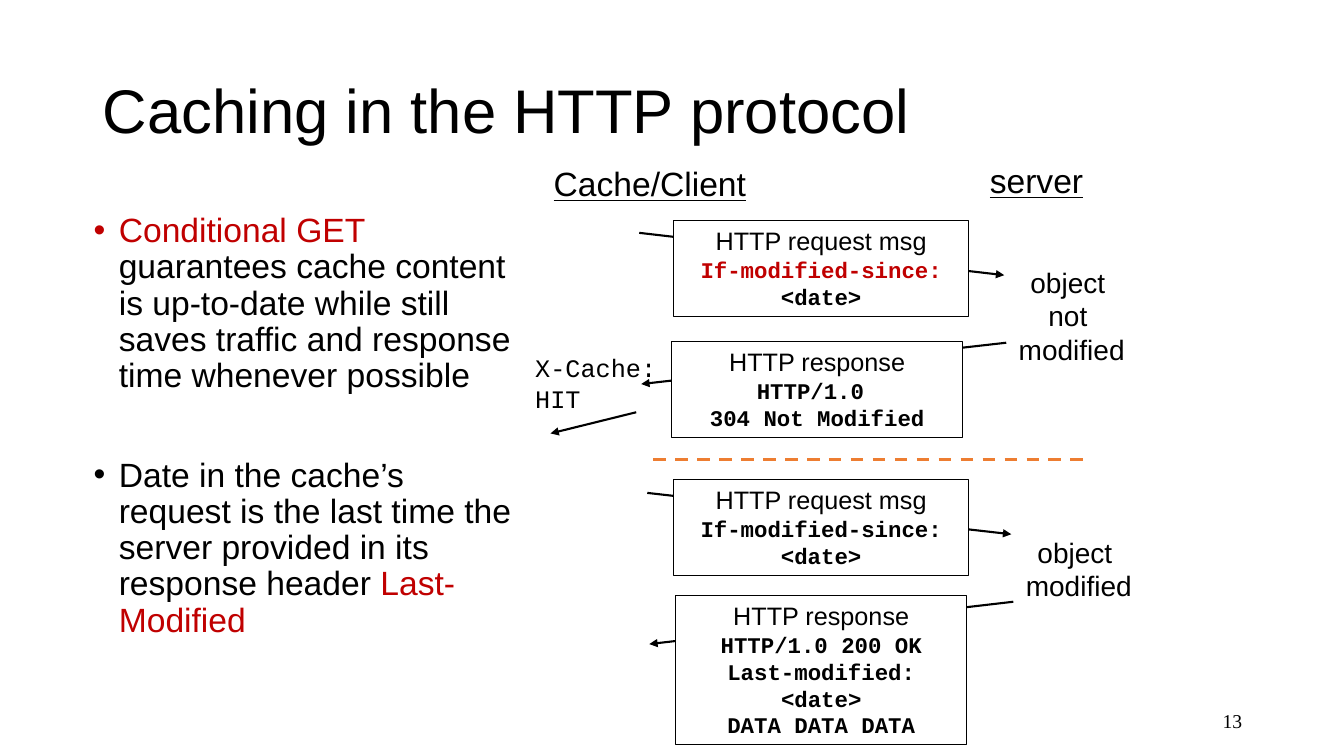
import pptx
import pptx.util
import pptx.dml.color
import pptx.enum.dml
import pptx.enum.shapes
import pptx.enum.text
import pptx.oxml
from lxml import etree

Inches = pptx.util.Inches
Pt = pptx.util.Pt
ALIGN = pptx.enum.text.PP_ALIGN
ANCHOR = pptx.enum.text.MSO_ANCHOR
COLORS = {"black": "000000", "white": "FFFFFF", "red": "C00000", "orange": "ED7D31"}
CODE = dict(size=16, font="Courier New", bold=True)


def rgb(name):
    return pptx.dml.color.RGBColor.from_string(COLORS[name])


def child(parent, tag, **attrs):
    el = etree.SubElement(parent, pptx.oxml.ns.qn(tag))
    for key, value in attrs.items():
        el.set(key, value)
    return el


def add_run(p, text, size=24, font="Arial", color="black", bold=False, underline=False):
    r = p.add_run()
    r.text = text
    r.font.size = Pt(size)
    r.font.name = font
    r.font.color.rgb = rgb(color)
    r.font.bold = bold
    r.font.underline = underline


def add_paragraphs(tf, paragraphs, align=ALIGN.CENTER, spacing=None):
    for i, runs in enumerate(paragraphs):
        p = tf.paragraphs[0] if i == 0 else tf.add_paragraph()
        p.alignment = align
        if spacing:
            p.line_spacing = spacing
        for text, fmt in runs:
            add_run(p, text, **fmt)


def add_text(s, x, y, w, h, paragraphs, align=ALIGN.CENTER, anchor=ANCHOR.TOP,
             wrap=True, spacing=None):
    sp = s.shapes.add_textbox(Inches(x), Inches(y), Inches(w), Inches(h))
    tf = sp.text_frame
    tf.word_wrap = wrap
    tf.vertical_anchor = anchor
    add_paragraphs(tf, paragraphs, align, spacing)
    return tf


def add_bullets(s, x, y, w, h, items):
    tf = add_text(s, x, y, w, h, items, ALIGN.LEFT, spacing=0.9)
    for i, (p, runs) in enumerate(zip(tf.paragraphs, items)):
        if i:
            p.space_before = Pt(45)
        pPr = p._p.get_or_add_pPr()
        pPr.set("marL", str(Inches(0.25)))
        pPr.set("indent", str(-Inches(0.25)))
        color = runs[0][1].get("color", "black")
        child(child(pPr, "a:buClr"), "a:srgbClr", val=COLORS[color])
        child(pPr, "a:buFont", typeface="Arial")
        child(pPr, "a:buChar", char="•")


def add_line(s, x1, y1, x2, y2, color="black", width=1.5, dash=None, arrow=True):
    c = s.shapes.add_connector(pptx.enum.shapes.MSO_CONNECTOR.STRAIGHT,
                               Inches(x1), Inches(y1), Inches(x2), Inches(y2))
    c.line.color.rgb = rgb(color)
    c.line.width = Pt(width)
    if dash:
        c.line.dash_style = dash
    if arrow:
        child(c.line._get_or_add_ln(), "a:tailEnd", type="triangle")
    child(c._element.spPr, "a:effectLst")


def add_message(s, x, y, w, h, title, code):
    sp = s.shapes.add_shape(pptx.enum.shapes.MSO_SHAPE.RECTANGLE,
                            Inches(x), Inches(y), Inches(w), Inches(h))
    sp.shadow.inherit = False
    sp.fill.solid()
    sp.fill.fore_color.rgb = rgb("white")
    sp.line.color.rgb = rgb("black")
    sp.line.width = Pt(0.75)
    tf = sp.text_frame
    tf.word_wrap = True
    tf.vertical_anchor = ANCHOR.TOP
    add_paragraphs(tf, [[(title, dict(size=18))]] + code)


def main():
    prs = pptx.Presentation()
    prs.slide_width = Inches(13.33)
    prs.slide_height = Inches(7.5)
    s = prs.slides.add_slide(prs.slide_layouts[6])

    add_text(s, 0.92, 0.4, 11.5, 1.45, [[("Caching in the HTTP protocol", dict(size=44))]],
             ALIGN.LEFT, ANCHOR.MIDDLE, spacing=0.9)
    add_text(s, 9.42, 6.95, 3, 0.4, [[("13", dict(size=14, font="Times New Roman"))]],
             ALIGN.RIGHT, ANCHOR.MIDDLE)
    add_bullets(s, 0.83, 2.07, 4.42, 4.71, [
        [("Conditional GET ", dict(color="red")),
         ("guarantees cache content is up-to-date while still saves traffic "
          "and response time whenever possible", {})],
        [("Date in the cache’s request is the last time the server provided "
          "in its response header ", {}),
         ("Last-Modified", dict(color="red"))],
    ])

    for x, y, w, text in [(5.38, 1.57, 2.13, "Cache/Client"), (9.71, 1.54, 1.14, "server")]:
        add_text(s, x, y, w, 0.5, [[(text, dict(underline=True))]], wrap=False)

    for ends in [(6.34, 2.31, 9.96, 2.73), (9.98, 3.4, 6.36, 3.81),
                 (6.42, 4.89, 10.03, 5.3), (10.05, 5.97, 6.44, 6.39),
                 (6.31, 4.09, 5.46, 4.3)]:
        add_line(s, *ends)
    add_line(s, 6.48, 4.56, 10.75, 4.56, "orange", 2.25,
             pptx.enum.dml.MSO_LINE.DASH, arrow=False)

    request, response = "HTTP request msg", "HTTP response"
    add_message(s, 6.68, 2.19, 2.93, 0.95, request,
                [[("If-modified-since: ", dict(CODE, color="red")), ("<date>", CODE)]])
    add_message(s, 6.66, 3.39, 2.89, 0.95, response,
                [[("HTTP/1.0 ", CODE)], [("304 Not Modified", CODE)]])
    add_message(s, 6.68, 4.76, 2.93, 0.95, request, [[("If-modified-since: <date>", CODE)]])
    add_message(s, 6.7, 5.91, 2.89, 1.48, response,
                [[(text, CODE)] for text in
                 ("HTTP/1.0 200 OK", "Last-modified: <date>", "DATA DATA DATA")])

    for x, y, h, words in [(10, 2.58, 1.11, ("object ", "not ", "modified")),
                           (10.07, 5.26, 0.77, ("object ", "modified"))]:
        add_text(s, x, y, 1.26, h, [[(word, dict(size=20))] for word in words], wrap=False)
    add_text(s, 5.21, 3.45, 1.56, 0.71,
             [[("X-Cache: HIT", dict(size=18, font="Courier New"))]], ALIGN.LEFT)

    prs.save("out.pptx")


if __name__ == "__main__":
    main()
